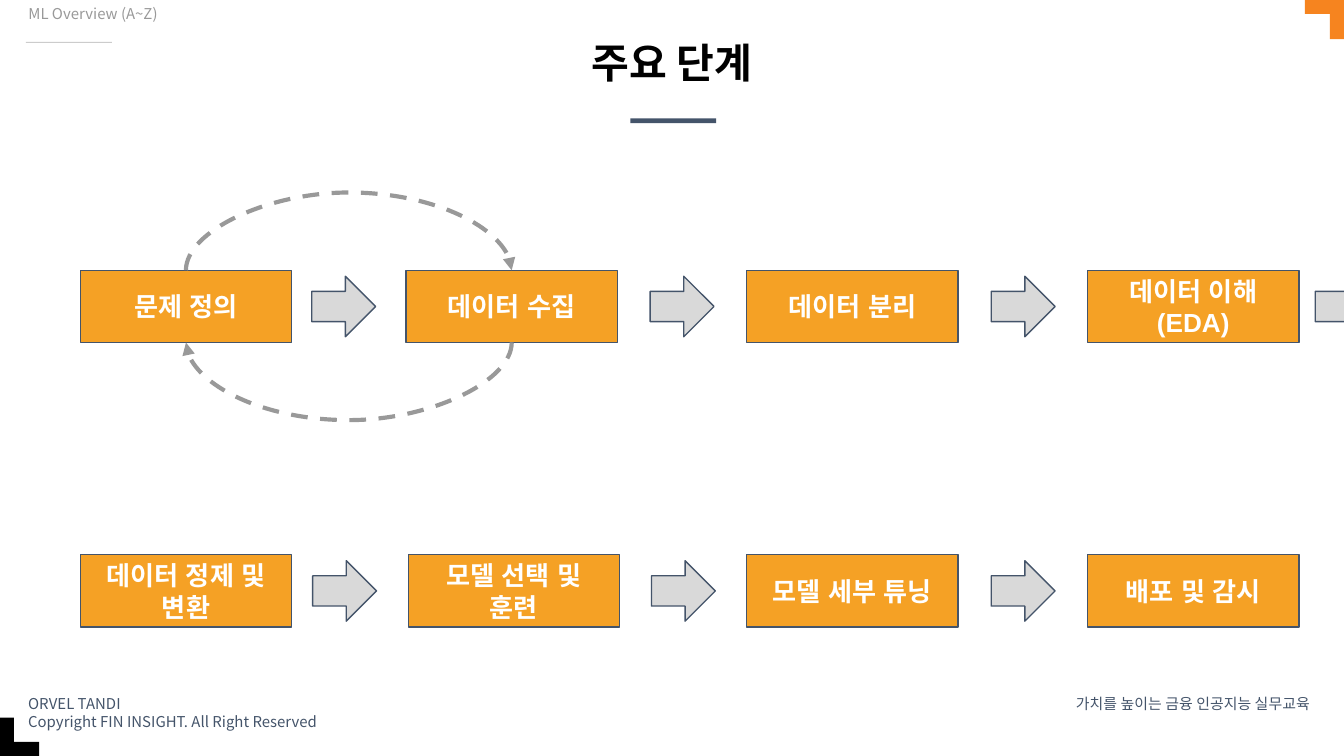
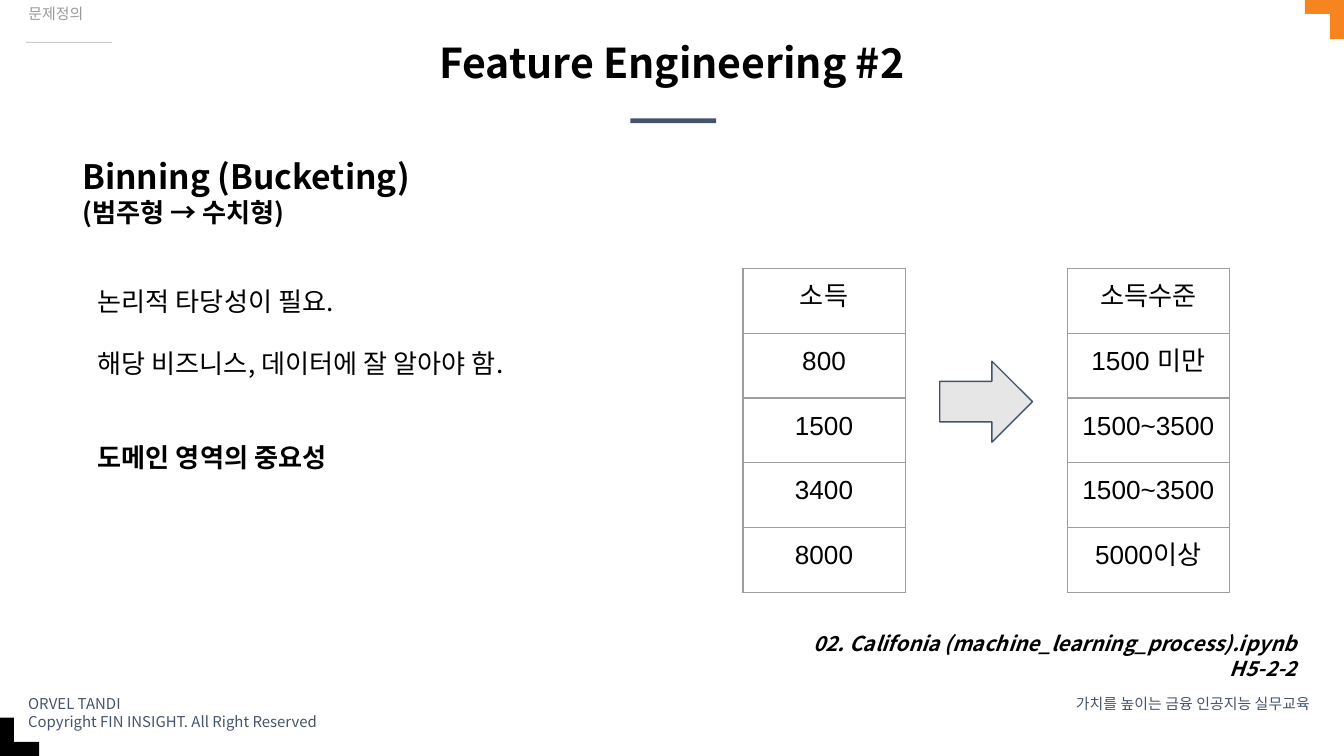
from lxml import etree
from pptx import Presentation
from pptx.dml.color import RGBColor
from pptx.enum import dml, shapes, text
from pptx.oxml import ns
from pptx.util import Pt

NAVY = RGBColor(0x44, 0x54, 0x6A)
ORANGE = RGBColor(0xF5, 0xA1, 0x25)
CORNER_ORANGE = RGBColor(0xF6, 0x84, 0x1F)
BLACK = RGBColor(0, 0, 0)
WHITE = RGBColor(0xFF, 0xFF, 0xFF)
RULE_GRAY = RGBColor(0xCC, 0xCC, 0xCC)
ARROW_GRAY = RGBColor(0xD9, 0xD9, 0xD9)
PALE_GRAY = RGBColor(0xE7, 0xE6, 0xE6)
LOOP_GRAY = RGBColor(0x99, 0x99, 0x99)
BORDER_HEX = "9E9E9E"
NOTO = "Noto Sans CJK KR"
ARIAL = "Arial"
LEFT, CENTER, RIGHT = text.PP_ALIGN.LEFT, text.PP_ALIGN.CENTER, text.PP_ALIGN.RIGHT
RECT, ARROW = shapes.MSO_SHAPE.RECTANGLE, shapes.MSO_SHAPE.RIGHT_ARROW


def write(tf, lines, size, color, bold=False, align=LEFT, font=NOTO, inset=(7.2, 7.2)):
    """Fill a text frame with one paragraph per line, all formatted alike."""
    tf.word_wrap = True
    tf.margin_left = tf.margin_right = Pt(inset[0])
    tf.margin_top = tf.margin_bottom = Pt(inset[1])
    tf.text = "\n".join(lines)
    for p in tf.paragraphs:
        p.alignment = align
        for r in p.runs:
            r.font.size, r.font.bold, r.font.name = Pt(size), bold, font
            r.font.color.rgb = color
            ea = etree.Element(ns.qn("a:ea"), typeface=font)
            r.font._element.find(ns.qn("a:latin")).addnext(ea)


def add_block(s, preset, box, fill, outlined=False):
    """Add a flat filled shape, with a thin navy outline on request."""
    sp = s.shapes.add_shape(preset, *[Pt(v) for v in box])
    sp.shadow.inherit = False
    sp.fill.solid()
    sp.fill.fore_color.rgb = fill
    if outlined:
        sp.line.color.rgb = NAVY
        sp.line.width = Pt(0.75)
    else:
        sp.line.fill.background()
    return sp


prs = Presentation()
prs.slide_width, prs.slide_height = Pt(720), Pt(405)

# Frame shared by both slides
FRAME_BLOCKS = [
    ((337.7, 63.4, 46, 2.6), NAVY),
    ((13.9, 22.4, 46, 0.6), RULE_GRAY),
    ((0, 397.5, 21, 7.5), BLACK),
    ((0, 384.5, 7.5, 20.5), BLACK),
    ((699, 0, 21, 7.5), CORNER_ORANGE),
    ((712.5, 0, 7.5, 21), CORNER_ORANGE),
]
FOOTERS = [
    ((8, 368.5, 214.5, 19.5), LEFT,
     ["ORVEL TANDI", "Copyright FIN INSIGHT. All Right Reserved"]),
    ((558.5, 368.5, 150.5, 12.5), RIGHT, ["가치를 높이는 금융 인공지능 실무교육"]),
]
HEADINGS = [("주요 단계", "ML Overview (A~Z)"), ("Feature Engineering #2", "문제정의")]

slides = []
for title, chapter in HEADINGS:
    s = prs.slides.add_slide(prs.slide_layouts[0])
    for box, color in FRAME_BLOCKS:
        add_block(s, RECT, box, color)
    for box, align, lines in FOOTERS:
        tb = s.shapes.add_textbox(*[Pt(v) for v in box])
        write(tb.text_frame, lines, 8, NAVY, align=align, inset=(7.2, 3.6))

    head, sub = s.shapes.title, s.placeholders[1]
    head.left, head.top, head.width, head.height = Pt(78.5), Pt(21.5), Pt(563), Pt(29)
    sub.left, sub.top, sub.width, sub.height = Pt(8), Pt(0), Pt(204.5), Pt(29)
    write(head.text_frame, [title], 22, BLACK, True, CENTER, inset=(2.7, 1.4))
    write(sub.text_frame, [chapter], 8, LOOP_GRAY, inset=(7.2, 3.6))
    for sp in (head, sub):
        sp.text_frame.auto_size = text.MSO_AUTO_SIZE.NONE
        sp.text_frame.vertical_anchor = text.MSO_ANCHOR.TOP
        sp.text_frame.paragraphs[0].line_spacing = 0.9
        sp.text_frame.paragraphs[0].space_before = Pt(0)
    slides.append(s)

# Slide 1: process steps in two rows
s = slides[0]
STEP_W, STEP_H = 113.3, 38.7
STEP_ROWS = [
    (144.8,
     [(43, ["문제 정의"]), (217.5, ["데이터 수집"]), (400, ["데이터 분리"]),
      (582.6, ["데이터 이해", "(EDA)"])],
     [167, 348.3, 531, 704.6]),
    (297.2,
     [(43, ["데이터 정제 및 변환"]), (218.7, ["모델 선택 및 훈련"]),
      (400, ["모델 세부 튜닝"]), (582.6, ["배포 및 감시"])],
     [167.5, 349, 531]),
]
steps = []
for top, labels, arrow_lefts in STEP_ROWS:
    for left, lines in labels:
        sp = add_block(s, RECT, (left, top, STEP_W, STEP_H), ORANGE, True)
        write(sp.text_frame, lines, 14, WHITE, True, CENTER, ARIAL)
        sp.text_frame.vertical_anchor = text.MSO_ANCHOR.MIDDLE
        steps.append(sp)
    for left in arrow_lefts:
        add_block(s, ARROW, (left, top + 3.2, 34.2, 32.4), ARROW_GRAY, True)

# Dashed loop between the first two steps: a nearly flat curve, turned and bulged
define_step, collect_step = steps[:2]
span = collect_step.left - define_step.left
mid_x = define_step.left + (define_step.width + span) // 2
FLAT, BULGE = 0.05, 36.7
LOOPS = [
    (collect_step, define_step, 2, define_step.top + define_step.height, 90, 1),
    (define_step, collect_step, 0, define_step.top, 270, -1),
]
for start, end, site, y, turn, sign in LOOPS:
    c = s.shapes.add_connector(shapes.MSO_CONNECTOR.CURVE, 0, 0, 0, 0)
    c.begin_connect(start, site)
    c.end_connect(end, site)
    c.left, c.top = mid_x - Pt(FLAT) // 2, y - span // 2
    c.width, c.height = Pt(FLAT), span
    spPr = c._element.spPr
    xfrm = spPr.find(ns.qn("a:xfrm"))
    xfrm.attrib.clear()
    xfrm.set("rot", str(turn * 60000))
    if sign < 0:
        xfrm.set("flipH", "1")
    guides = spPr.find(ns.qn("a:prstGeom")).find(ns.qn("a:avLst"))
    etree.SubElement(guides, ns.qn("a:gd"), name="adj1",
                     fmla=f"val {sign * round(BULGE / FLAT * 100000)}")
    c.line.color.rgb = LOOP_GRAY
    c.line.width = Pt(2.25)
    c.line.dash_style = dml.MSO_LINE.DASH
    etree.SubElement(spPr.find(ns.qn("a:ln")), ns.qn("a:tailEnd"), type="triangle")
    etree.SubElement(spPr, ns.qn("a:effectLst"))

# Slide 2: binning
s = slides[1]
tb = s.shapes.add_textbox(Pt(37), Pt(76.5), Pt(578), Pt(55.5))
write(tb.text_frame, ["Binning (Bucketing)", "(범주형 → 수치형)"], 18, BLACK, True)
tb.text_frame.paragraphs[1].runs[0].font.size = Pt(14)

tb = s.shapes.add_textbox(Pt(371), Pt(331), Pt(331), Pt(43))
write(tb.text_frame, ["02. Califonia (machine_learning_process).ipynb\vH5-2-2"],
      11, BLACK, True, RIGHT)
for r in tb.text_frame.paragraphs[0].runs:
    r.font.italic = True

INCOME_ROWS = [
    ("소득", "", "소득수준"),
    ("800", "", "1500 미만"),
    ("1500", "", "1500~3500"),
    ("3400", "", "1500~3500"),
    ("8000", "", "5000이상"),
]
COL_W, ROW_H = 86.9, 34.7
frame = s.shapes.add_table(5, 3, Pt(398), Pt(143.8), Pt(3 * COL_W), Pt(5 * ROW_H))
table = frame.table
table.first_row = table.horz_banding = False
for col in table.columns:
    col.width = Pt(COL_W)
for row, values in zip(table.rows, INCOME_ROWS):
    row.height = Pt(ROW_H)
    for cell, value in zip(row.cells, values):
        margin = Pt(7.2 if value else 0)
        cell.margin_left = cell.margin_right = margin
        cell.margin_top = cell.margin_bottom = margin
        if value:
            write(cell.text_frame, [value], 14, BLACK, align=CENTER, font=ARIAL)
        tcPr = cell._tc.get_or_add_tcPr()
        for side in ("lnL", "lnR", "lnT", "lnB"):
            ln = etree.SubElement(tcPr, ns.qn("a:" + side), w=str(Pt(0.75)))
            if value or side in ("lnL", "lnR"):
                solid = etree.SubElement(ln, ns.qn("a:solidFill"))
                etree.SubElement(solid, ns.qn("a:srgbClr"), val=BORDER_HEX)
            else:
                etree.SubElement(ln, ns.qn("a:noFill"))
        cell.fill.background()

add_block(s, ARROW, (503.4, 193.5, 49.7, 43.4), PALE_GRAY, True)

tb = s.shapes.add_textbox(Pt(45.3), Pt(145.5), Pt(266.5), Pt(165.5))
write(tb.text_frame, ["논리적 타당성이 필요.", "해당 비즈니스, 데이터에 잘 알아야 함.",
                      "도메인 영역의 중요성"], 14, BLACK)
points = tb.text_frame.paragraphs
points[1].space_before = Pt(16.8)
points[2].space_before = Pt(33.6)
points[2].runs[0].font.bold = True

prs.save("out.pptx")
